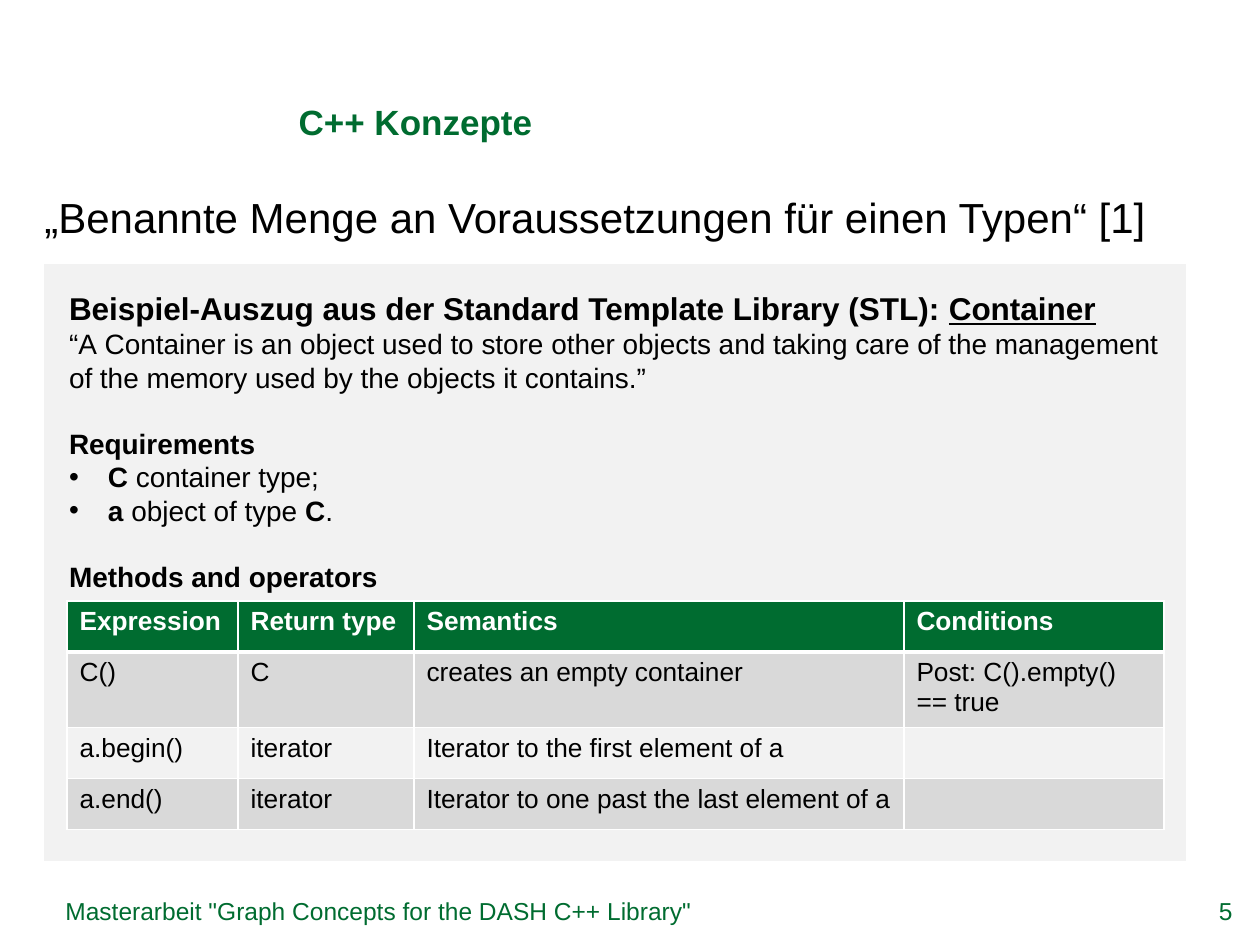
import pptx
import pptx.util
import pptx.dml.color
import pptx.enum.shapes
import pptx.enum.text
import pptx.oxml
import pptx.oxml.ns

COLORS = {"green": "006C30", "black": "000000", "white": "FFFFFF", "panel": "F2F2F2", "band": "D9D9D9"}
FONT = "Arial"
SCALE = 914400 / 126

TITLE = ("C++ Konzepte", (286, 86, 543, 63))
QUOTE = ("„Benannte Menge an Voraussetzungen für einen Typen“ [1]", (32, 185, 1194, 118))
FOOTER = ('Masterarbeit "Graph Concepts for the DASH C++ Library"', (53, 890, 1066, 40))
PAGE_NUMBER = ("5", (1137, 890, 108, 40))
PANEL_BOX = (44, 264, 1142, 597)
PANEL_INSET = 25
BULLET_INDENT = 39
SECTION_GAP = 18.4

PANEL_TEXT = [
    {"size": 18, "runs": [("Beispiel-Auszug aus der Standard Template Library (STL): ", "b"), ("Container", "bu")]},
    {"runs": [("“A\u00a0Container\u00a0is an object used to store other objects and taking care of "
               "the management of the memory used by the objects it contains.”", "")]},
    {"gap": SECTION_GAP, "runs": [("Requirements", "b")]},
    {"bullet": True, "runs": [("C\u00a0", "b"), ("container type;", "")]},
    {"bullet": True, "runs": [("a\u00a0", "b"), ("object of type\u00a0", ""), ("C", "b"), (".", "")]},
    {"gap": SECTION_GAP, "runs": [("Methods and operators", "b")]},
]

TABLE_ORIGIN = (67, 601)
COLUMN_WIDTHS = (171, 176, 490, 260)
ROW_HEIGHT = 51
TABLE_ROWS = [
    ("Expression", "Return type", "Semantics", "Conditions"),
    ("C()", "C", "creates an empty container", "Post: C().empty() == true"),
    ("a.begin()", "iterator", "Iterator to the first element of\u00a0a", ""),
    ("a.end()", "iterator", "Iterator to one past the last element of\u00a0a", ""),
]


def px(value):
    return pptx.util.Emu(round(value * SCALE))


def rgb(name):
    return pptx.dml.color.RGBColor.from_string(COLORS[name])


def style(font, size, color, bold=None):
    font.name = FONT
    font.size = pptx.util.Pt(size)
    font.color.rgb = rgb(color)
    font.bold = bold


def fill(target, color):
    target.fill.solid()
    target.fill.fore_color.rgb = rgb(color)


def add_text(slide, content, size, color, align=pptx.enum.text.PP_ALIGN.LEFT):
    text, box = content
    shape = slide.shapes.add_textbox(*map(px, box))
    shape.text_frame.word_wrap = True
    paragraph = shape.text_frame.paragraphs[0]
    paragraph.text = text
    paragraph.alignment = align
    style(paragraph.font, size, color)


def add_bullet(paragraph):
    properties = paragraph._p.get_or_add_pPr()
    properties.set("marL", str(px(BULLET_INDENT)))
    properties.set("indent", str(px(-BULLET_INDENT)))
    for tag, key, value in (("buFont", "typeface", FONT), ("buChar", "char", "•")):
        element = pptx.oxml.parse_xml(f'<a:{tag} {pptx.oxml.ns.nsdecls("a")} {key}="{value}"/>')
        properties.append(element)


def add_panel(slide):
    panel = slide.shapes.add_shape(pptx.enum.shapes.MSO_SHAPE.RECTANGLE, *map(px, PANEL_BOX))
    panel.shadow.inherit = False
    fill(panel, "panel")
    panel.line.fill.background()
    frame = panel.text_frame
    frame.word_wrap = True
    frame.vertical_anchor = pptx.enum.text.MSO_ANCHOR.TOP
    frame.margin_left = frame.margin_right = frame.margin_top = frame.margin_bottom = px(PANEL_INSET)
    for index, entry in enumerate(PANEL_TEXT):
        paragraph = frame.add_paragraph() if index else frame.paragraphs[0]
        paragraph.alignment = pptx.enum.text.PP_ALIGN.LEFT
        paragraph.space_before = pptx.util.Pt(entry.get("gap", 0))
        if entry.get("bullet"):
            add_bullet(paragraph)
        for text, marks in entry["runs"]:
            run = paragraph.add_run()
            run.text = text
            style(run.font, entry.get("size", 16), "black", "b" in marks)
            run.font.underline = "u" in marks


def set_borders(cell, header, below_header):
    widths = {"lnL": 1, "lnR": 1, "lnT": 3 if below_header else 1, "lnB": 3 if header else 1}
    properties = cell._tc.get_or_add_tcPr()
    for index, (tag, width) in enumerate(widths.items()):
        border = pptx.oxml.parse_xml(
            f'<a:{tag} {pptx.oxml.ns.nsdecls("a")} w="{pptx.util.Pt(width)}"><a:solidFill>'
            f'<a:srgbClr val="{COLORS["white"]}"/></a:solidFill></a:{tag}>')
        properties.insert(index, border)


def add_method_table(slide):
    size = (sum(COLUMN_WIDTHS), ROW_HEIGHT * len(TABLE_ROWS))
    table = slide.shapes.add_table(len(TABLE_ROWS), len(COLUMN_WIDTHS), *map(px, TABLE_ORIGIN + size)).table
    for column, width in zip(table.columns, COLUMN_WIDTHS):
        column.width = px(width)
    for row_index, row in enumerate(TABLE_ROWS):
        header = row_index == 0
        background = "green" if header else "band" if row_index % 2 else "panel"
        for column_index, text in enumerate(row):
            cell = table.cell(row_index, column_index)
            cell.text = text
            style(cell.text_frame.paragraphs[0].font, 15, "white" if header else "black", header)
            fill(cell, background)
            set_borders(cell, header, row_index == 1)


presentation = pptx.Presentation()
presentation.slide_width = px(1260)
presentation.slide_height = px(945)
slide = presentation.slides.add_slide(presentation.slide_layouts[5])

title = slide.shapes.title
title.left, title.top, title.width, title.height = map(px, TITLE[1])
title.text_frame.text = TITLE[0]
title.text_frame.vertical_anchor = pptx.enum.text.MSO_ANCHOR.BOTTOM
title_paragraph = title.text_frame.paragraphs[0]
title_paragraph.alignment = pptx.enum.text.PP_ALIGN.LEFT
style(title_paragraph.font, 20, "green", True)

add_text(slide, QUOTE, 24, "black")
add_text(slide, PAGE_NUMBER, 14, "green", pptx.enum.text.PP_ALIGN.RIGHT)
add_text(slide, FOOTER, 14, "green")
add_panel(slide)
add_method_table(slide)
presentation.save("out.pptx")
